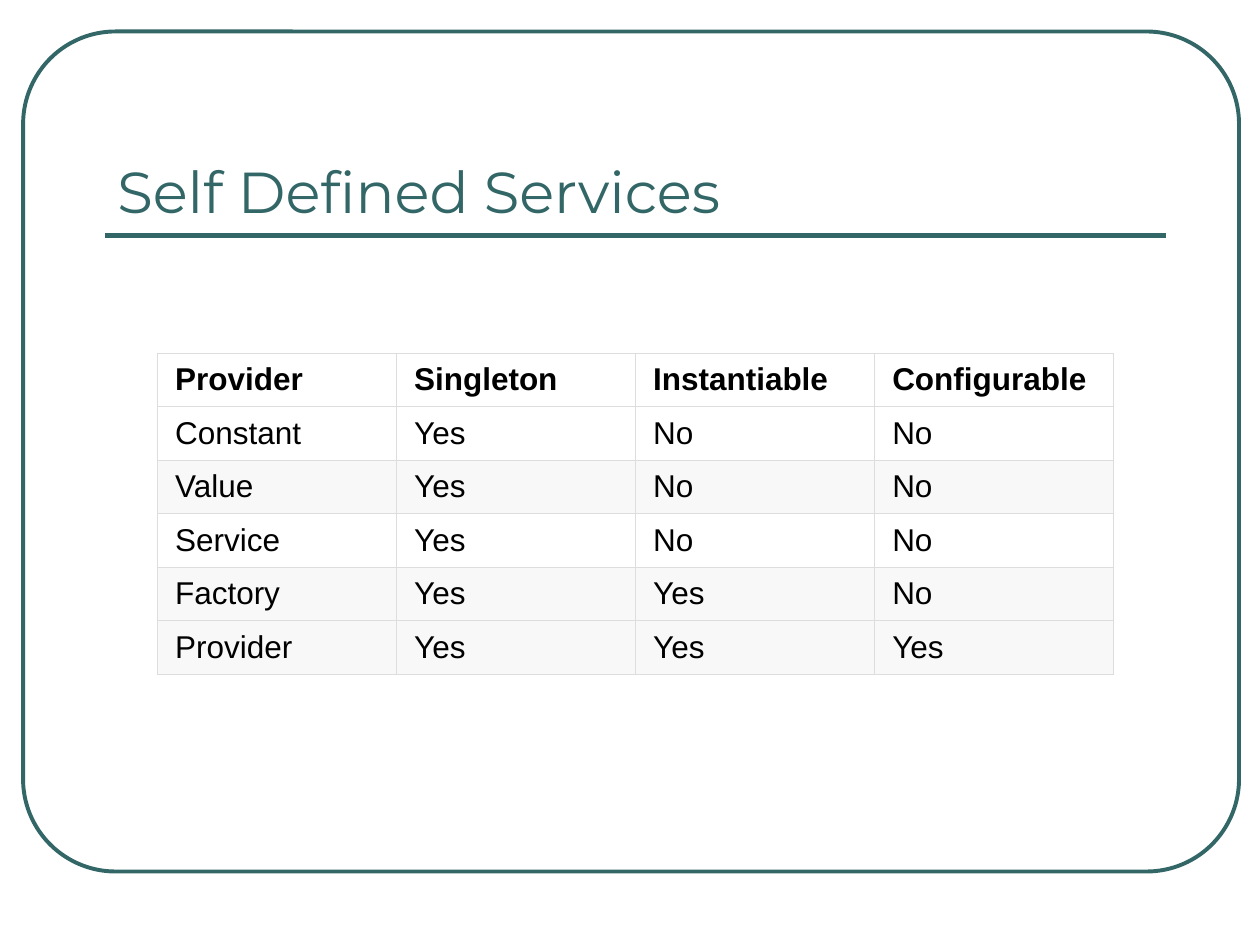
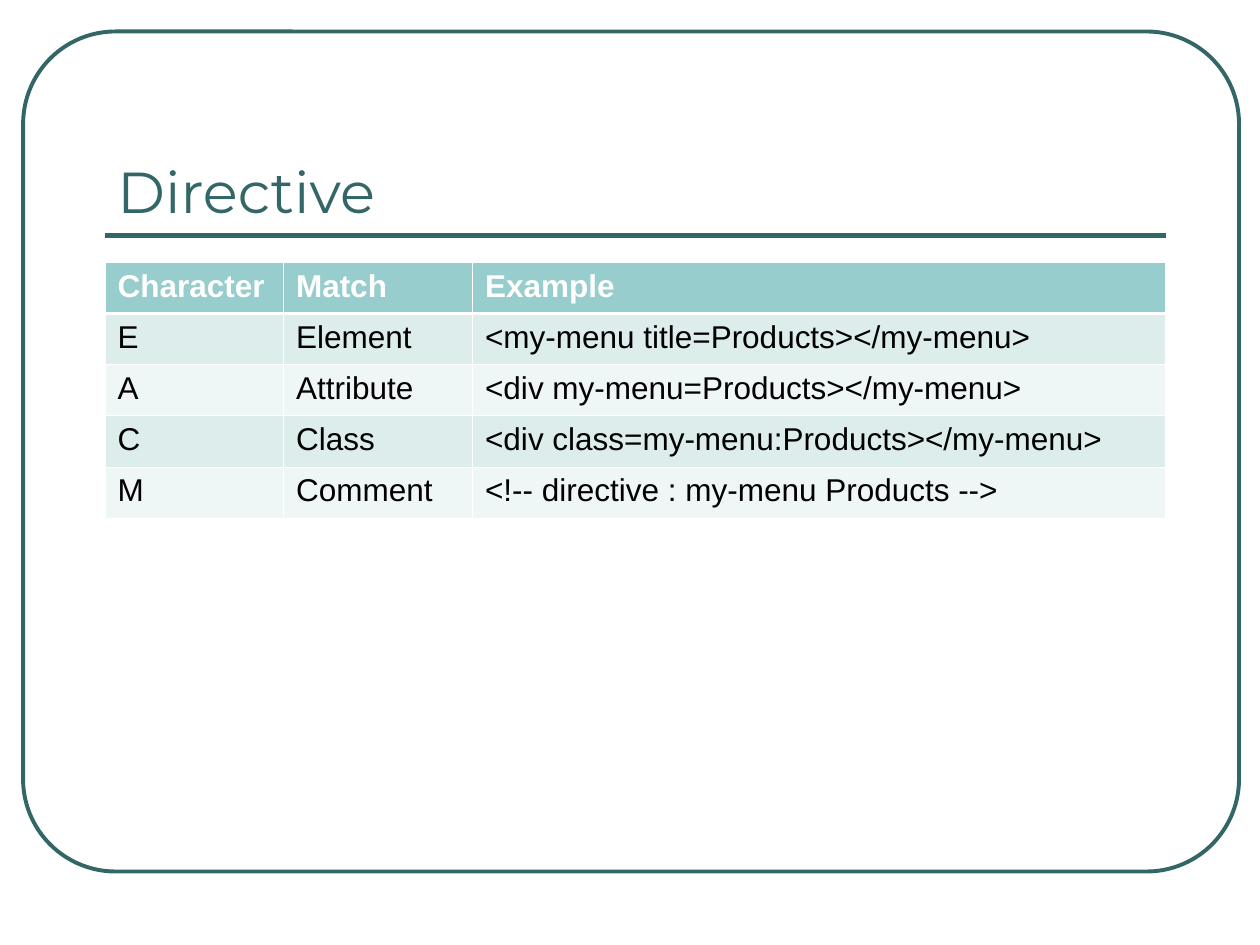
"""Build two framed slides, each with a title and a table, on a 120 by 90 grid."""
import dataclasses
import typing

import lxml.etree
import pptx
import pptx.dml.color
import pptx.enum.shapes
import pptx.enum.text
import pptx.oxml.ns
import pptx.util

SLIDE_WIDTH = pptx.util.Inches(10)
SLIDE_HEIGHT = pptx.util.Inches(7.5)
GRID_COLUMNS, GRID_ROWS = 120, 90
COLORS = {
    "teal": "336666",
    "white": "FFFFFF",
    "black": "000000",
    "pale_gray": "F8F8F8",
    "border_gray": "DDDDDD",
    "header_teal": "97CDCC",
    "band_dark": "DDEDEC",
    "band_light": "EFF6F6",
}
TITLE_FONT, BODY_FONT = "Montserrat", "Arial"


class Area(typing.NamedTuple):
    left: float
    top: float
    width: float
    height: float


FRAME = Area(2.2, 3, 115.8, 80)
TITLE = Area(10, 7, 101, 15)
RULE_ROW = 22.4


@dataclasses.dataclass(frozen=True)
class TableStyle:
    row_fills: tuple[str, ...]
    header_color: str
    border_color: str
    border_width: float
    header_border_width: float
    side_inset: float
    anchor: pptx.enum.text.MSO_ANCHOR


@dataclasses.dataclass(frozen=True)
class TablePage:
    title: str
    left: float
    top: float
    column_widths: tuple[float, ...]
    row_height: float
    rows: tuple[tuple[str, ...], ...]
    style: TableStyle


PLAIN_STYLE = TableStyle(
    ("white", "white", "pale_gray", "white", "pale_gray", "pale_gray"),
    "black", "border_gray", 0.34, 0.34, 0.14, pptx.enum.text.MSO_ANCHOR.MIDDLE,
)
BANDED_STYLE = TableStyle(
    ("header_teal",) + ("band_dark", "band_light") * 2,
    "white", "white", 0.45, 1.47, 0.1, pptx.enum.text.MSO_ANCHOR.TOP,
)
PAGES = (
    TablePage(
        "Self Defined Services", 15, 33.6, (22.77,) * 4, 5.1,
        (
            ("Provider", "Singleton", "Instantiable", "Configurable"),
            ("Constant", "Yes", "No", "No"),
            ("Value", "Yes", "No", "No"),
            ("Service", "Yes", "No", "No"),
            ("Factory", "Yes", "Yes", "No"),
            ("Provider", "Yes", "Yes", "Yes"),
        ),
        PLAIN_STYLE,
    ),
    TablePage(
        "Directive", 10, 25, (17, 18, 66), 4.87,
        (
            ("Character", "Match", "Example"),
            ("E", "Element", "<my-menu title=Products></my-menu>"),
            ("A", "Attribute", "<div my-menu=Products></my-menu>"),
            ("C", "Class", "<div class=my-menu:Products></my-menu>"),
            ("M", "Comment", "<!-- directive : my-menu Products -->"),
        ),
        BANDED_STYLE,
    ),
)


def across(columns: float) -> int:
    return round(SLIDE_WIDTH * columns / GRID_COLUMNS)


def down(rows: float) -> int:
    return round(SLIDE_HEIGHT * rows / GRID_ROWS)


def place(area: Area) -> tuple[int, int, int, int]:
    return across(area.left), down(area.top), across(area.width), down(area.height)


def rgb(name: str) -> pptx.dml.color.RGBColor:
    return pptx.dml.color.RGBColor.from_string(COLORS[name])


def write_text(frame, text: str, *, font: str, size: float, color: str,
               bold: bool = False) -> None:
    para = frame.paragraphs[0]
    para.alignment = pptx.enum.text.PP_ALIGN.LEFT
    span = para.add_run()
    span.text = text
    span.font.name = font
    span.font.size = pptx.util.Pt(size)
    span.font.bold = bold
    span.font.color.rgb = rgb(color)


def draw_line_format(line, width: float) -> None:
    line.color.rgb = rgb("teal")
    line.width = pptx.util.Pt(width)


def draw_shared_parts(page, title: str) -> None:
    frame = page.shapes.add_shape(
        pptx.enum.shapes.MSO_SHAPE.ROUNDED_RECTANGLE, *place(FRAME))
    frame.adjustments[0] = 0.11
    frame.shadow.inherit = False
    frame.fill.background()
    draw_line_format(frame.line, 2.25)

    rule = page.shapes.add_connector(
        pptx.enum.shapes.MSO_CONNECTOR.STRAIGHT,
        across(TITLE.left), down(RULE_ROW),
        across(TITLE.left + TITLE.width), down(RULE_ROW))
    draw_line_format(rule.line, 3)
    lxml.etree.SubElement(rule._element.spPr, pptx.oxml.ns.qn("a:effectLst"))

    box = page.shapes.add_textbox(*place(TITLE))
    box.text_frame.word_wrap = True
    box.text_frame.vertical_anchor = pptx.enum.text.MSO_ANCHOR.BOTTOM
    write_text(box.text_frame, title, font=TITLE_FONT, size=33, color="teal")


def set_borders(cell, color: str, widths: dict[str, float]) -> None:
    properties = cell._tc.get_or_add_tcPr()
    for position, (side, width) in enumerate(widths.items()):
        border = lxml.etree.Element(
            pptx.oxml.ns.qn(f"a:ln{side}"), w=str(pptx.util.Pt(width)))
        fill = lxml.etree.SubElement(border, pptx.oxml.ns.qn("a:solidFill"))
        lxml.etree.SubElement(fill, pptx.oxml.ns.qn("a:srgbClr"), val=COLORS[color])
        properties.insert(position, border)


def draw_cell(cell, text: str, row: int, style: TableStyle) -> None:
    header = row == 0
    cell.fill.solid()
    cell.fill.fore_color.rgb = rgb(style.row_fills[row])
    cell.vertical_anchor = style.anchor
    cell.margin_left = cell.margin_right = pptx.util.Inches(style.side_inset)
    cell.margin_top = cell.margin_bottom = pptx.util.Inches(0.05)
    write_text(cell.text_frame, text, font=BODY_FONT, size=18,
               color=style.header_color if header else "black", bold=header)
    thin, thick = style.border_width, style.header_border_width
    set_borders(cell, style.border_color, {
        "L": thin, "R": thin,
        "T": thick if row == 1 else thin,
        "B": thick if header else thin,
    })


def draw_table(page, content: TablePage) -> None:
    area = Area(content.left, content.top, sum(content.column_widths),
                content.row_height * len(content.rows))
    table = page.shapes.add_table(
        len(content.rows), len(content.column_widths), *place(area)).table
    table.first_row = table.horz_banding = False
    for column, width in zip(table.columns, content.column_widths):
        column.width = across(width)
    for row, texts in enumerate(content.rows):
        table.rows[row].height = down(content.row_height)
        for column, text in enumerate(texts):
            draw_cell(table.cell(row, column), text, row, content.style)


def main() -> None:
    deck = pptx.Presentation()
    deck.slide_width, deck.slide_height = SLIDE_WIDTH, SLIDE_HEIGHT
    for content in PAGES:
        page = deck.slides.add_slide(deck.slide_layouts[6])
        draw_shared_parts(page, content.title)
        draw_table(page, content)
    deck.save("out.pptx")


if __name__ == "__main__":
    main()
